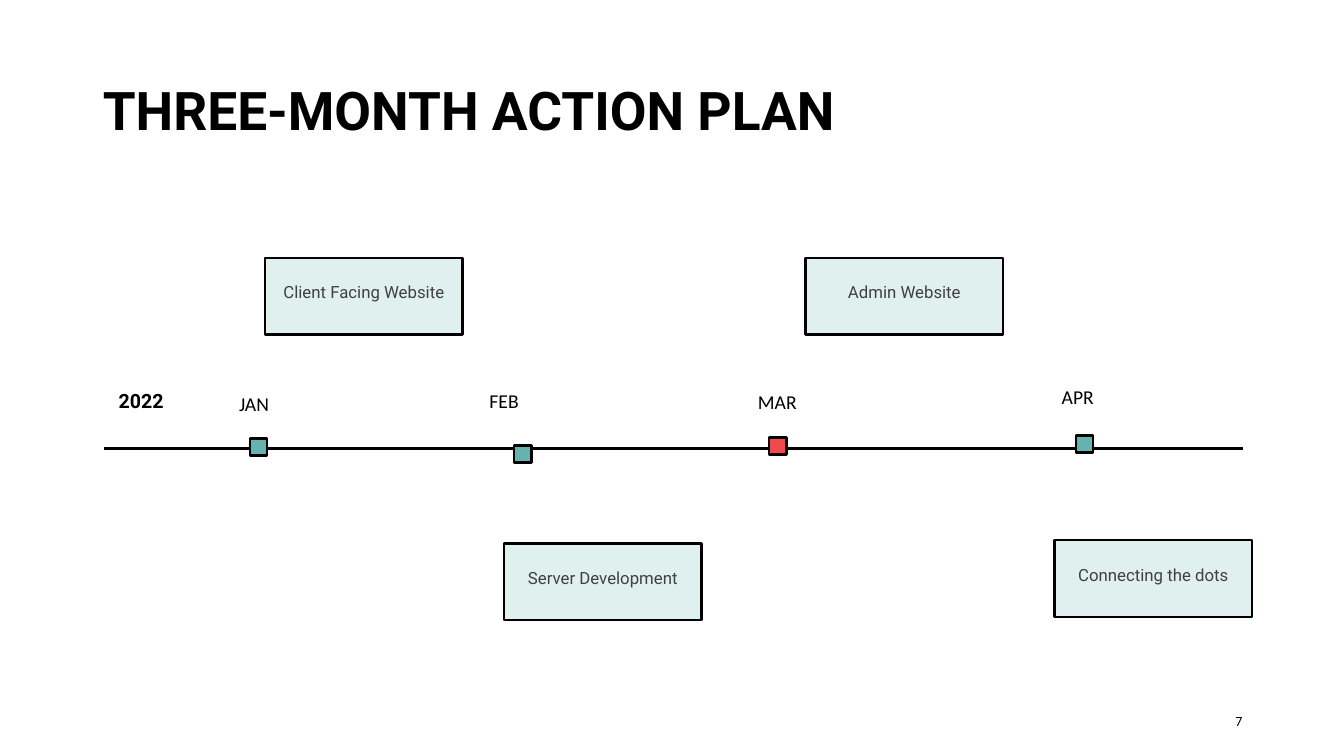
from dataclasses import dataclass

from pptx import Presentation
from pptx.dml.color import RGBColor
from pptx.enum.shapes import MSO_CONNECTOR, MSO_SHAPE
from pptx.enum.text import MSO_ANCHOR, PP_ALIGN
from pptx.oxml.ns import qn
from pptx.shapes.autoshape import Shape
from pptx.slide import Slide
from pptx.util import Inches, Pt
from lxml import etree

RECT = MSO_SHAPE.RECTANGLE
LINE = MSO_CONNECTOR.STRAIGHT
LEFT, MID, RIGHT = PP_ALIGN.LEFT, PP_ALIGN.CENTER, PP_ALIGN.RIGHT
TOP, CENTER = MSO_ANCHOR.TOP, MSO_ANCHOR.MIDDLE

BLACK, GREY = "000000", "404040"
PALE, TEAL, RED = "E0F0EF", "66B2B0", "F2494C"
AXIS = 4.45
MARK = 0.17
CARD_W, CARD_H = 1.96, 0.76


@dataclass
class Month:
    name: str
    left: float
    top: float
    high: float
    space: float
    mark_x: float
    mark_y: float
    color: str
    task: str
    card_x: float
    card_y: float


MONTHS = [
    Month("JAN", 2.17, 3.88, 0.3, 0.8, 2.48, 4.35, TEAL,
          "Client Facing Website", 2.63, 2.56),
    Month("FEB", 4.65, 3.85, 0.3, 0.8, 5.1, 4.42, TEAL,
          "Server Development", 5, 5.39),
    Month("MAR", 7.36, 3.85, 0.3, 0.9, 7.63, 4.34, RED,
          "Admin Website", 7.99, 2.56),
    Month("APR", 10.34, 3.8, 0.4, 0.9, 10.67, 4.32, TEAL,
          "Connecting the dots", 10.46, 5.36),
]


def rgb(color: str) -> RGBColor:
    return RGBColor.from_string(color)


def write(shape: Shape, text: str, *, size: float, font: str = "Calibri",
          color: str = BLACK, bold: bool = False, align: PP_ALIGN = MID,
          anchor: MSO_ANCHOR = TOP, space: float = 1, before: float = 0,
          inset: float = 0.05) -> None:
    frame = shape.text_frame
    frame.word_wrap = True
    frame.vertical_anchor = anchor
    frame.margin_left = frame.margin_right = Inches(0.1)
    frame.margin_top, frame.margin_bottom = Inches(inset), Inches(0.05)
    para = frame.paragraphs[0]
    para.alignment, para.line_spacing = align, space
    para.space_before = Pt(before)
    run = para.add_run()
    run.text = text
    run.font.name, run.font.size, run.font.bold = font, Pt(size), bold
    run.font.color.rgb = rgb(color)


def label(slide: Slide, left: float, top: float, wide: float,
          high: float) -> Shape:
    return slide.shapes.add_textbox(
        Inches(left), Inches(top), Inches(wide), Inches(high))


def block(slide: Slide, left: float, top: float, wide: float, high: float,
          fill: str) -> Shape:
    shape = slide.shapes.add_shape(
        RECT, Inches(left), Inches(top), Inches(wide), Inches(high))
    shape.shadow.inherit = False
    shape.fill.solid()
    shape.fill.fore_color.rgb = rgb(fill)
    shape.line.color.rgb = rgb(BLACK)
    shape.line.width = Pt(1.75)
    return shape


def draw_axis(slide: Slide) -> None:
    axis = slide.shapes.add_connector(
        LINE, Inches(1.03), Inches(AXIS), Inches(12.33), Inches(AXIS))
    axis.line.color.rgb = rgb(BLACK)
    axis.line.width = Pt(2)
    etree.SubElement(axis._element.spPr, qn("a:effectLst"))


def draw_month(slide: Slide, month: Month) -> None:
    card = block(slide, month.card_x, month.card_y, CARD_W, CARD_H, PALE)
    write(card, month.task, size=12, font="Roboto", color=GREY, space=2,
          before=10, inset=0.04)
    name = label(slide, month.left, month.top, 0.7, month.high)
    write(name, month.name, size=14, space=month.space, before=10)
    block(slide, month.mark_x, month.mark_y, MARK, MARK, month.color)


def main() -> None:
    deck = Presentation()
    deck.slide_width, deck.slide_height = Inches(13.33), Inches(7.5)
    slide = deck.slides.add_slide(deck.slide_layouts[5])
    title = slide.shapes.title
    title.left, title.top = Inches(0.92), Inches(0.4)
    title.width, title.height = Inches(11.5), Inches(1.45)
    write(title, "THREE-MONTH ACTION PLAN", size=38, font="Roboto", bold=True,
          align=LEFT, anchor=CENTER, space=0.9)
    draw_axis(slide)
    write(label(slide, 1, 3.74, 0.8, 0.5), "2022", size=14, font="Roboto",
          bold=True, anchor=CENTER, space=0.9, before=10)
    for month in MONTHS:
        draw_month(slide, month)
    write(label(slide, 9.42, 6.95, 3, 0.4), "7", size=10, align=RIGHT,
          anchor=CENTER)
    deck.save("out.pptx")


if __name__ == "__main__":
    main()
